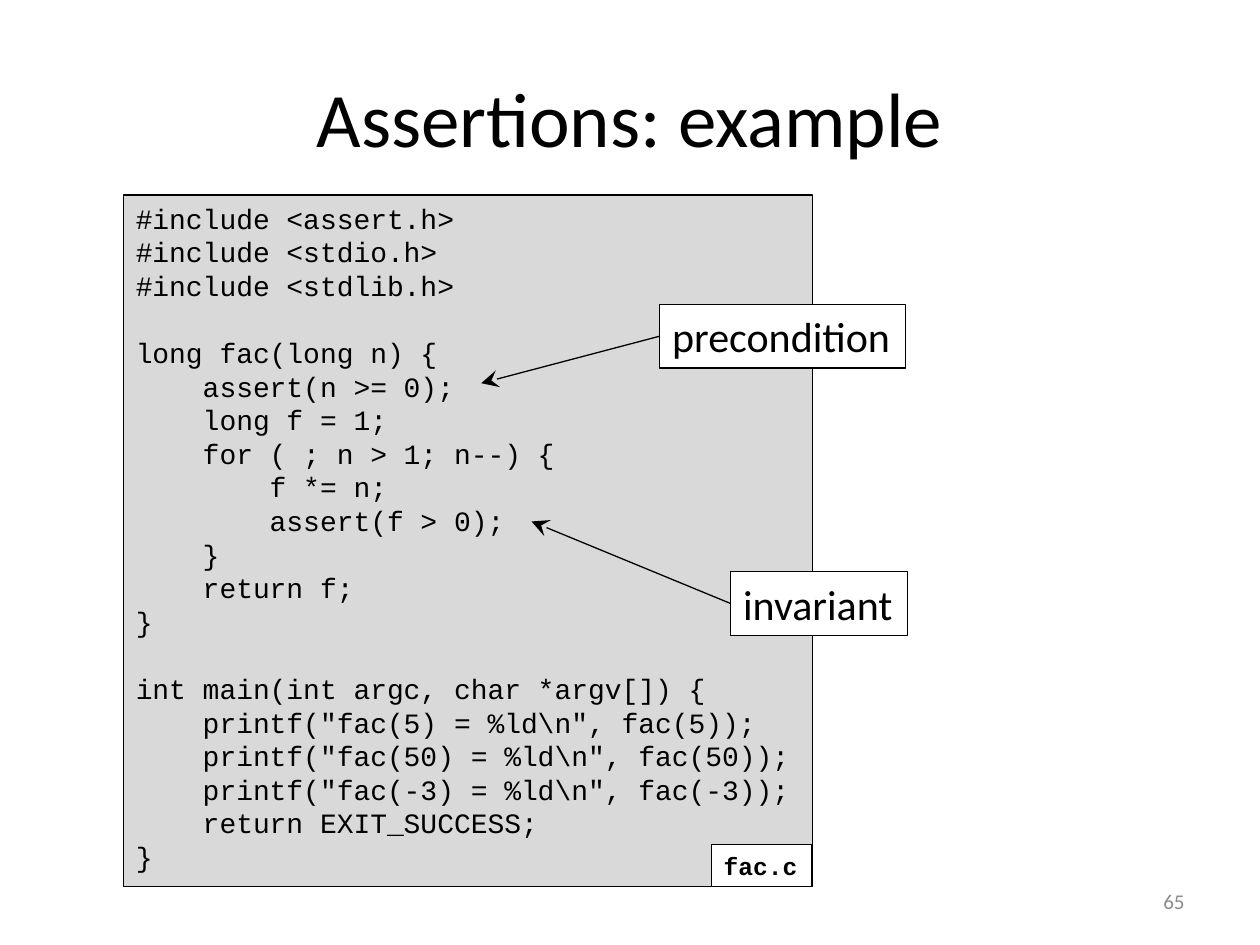
from lxml.etree import SubElement as Sub
from pptx import Presentation
from pptx.dml.color import RGBColor as Rgb
from pptx.enum.shapes import MSO_CONNECTOR as Conn, MSO_SHAPE as Kind
from pptx.enum.text import MSO_ANCHOR as Anchor, MSO_AUTO_SIZE as Fit, PP_ALIGN as Align
from pptx.oxml.ns import qn
from pptx.util import Pt

HUES = {"ink": "000000", "code": "D9D9D9", "note": "FFFFFF", "page": "8C8C8C"}
SANS, MONO = "Calibri", "Courier New"
CODE = r'''#include <assert.h>
#include <stdio.h>
#include <stdlib.h>

long fac(long n) {
    assert(n >= 0);
    long f = 1;
    for ( ; n > 1; n--) {
        f *= n;
        assert(f > 0);
    }
    return f;
}

int main(int argc, char *argv[]) {
    printf("fac(5) = %ld\n", fac(5));
    printf("fac(50) = %ld\n", fac(50));
    printf("fac(-3) = %ld\n", fac(-3));
    return EXIT_SUCCESS;
}'''


def hue(name):
    return Rgb.from_string(HUES[name])


def write(frame, text, size, face=SANS, tone="ink", bold=False, align=Align.LEFT):
    for i, line in enumerate(text.split("\n")):
        para = frame.add_paragraph() if i else frame.paragraphs[0]
        para.alignment = align
        if not line:
            Sub(para._p, qn("a:endParaRPr"), sz=str(size * 100))
            continue
        run = para.add_run()
        run.text = line
        run.font.size = Pt(size)
        run.font.name = face
        run.font.bold = bold
        run.font.color.rgb = hue(tone)


def place(shape, area):
    shape.left, shape.top, shape.width, shape.height = map(Pt, area)


def add_title(slide, text):
    title = slide.shapes.title
    place(title, (36, 21.6, 648, 90))
    title.text_frame.vertical_anchor = Anchor.MIDDLE
    write(title.text_frame, text, 44, align=Align.CENTER)


def add_box(slide, area, fill, text, size, face=SANS, bold=False):
    box = slide.shapes.add_shape(Kind.RECTANGLE, *map(Pt, area))
    box.shadow.inherit = False
    box.fill.solid()
    box.fill.fore_color.rgb = hue(fill)
    box.line.color.rgb = hue("ink")
    box.line.width = Pt(0.75)
    frame = box.text_frame
    frame.word_wrap = False
    frame.auto_size = Fit.SHAPE_TO_FIT_TEXT
    frame.vertical_anchor = Anchor.TOP
    write(frame, text, size, face, bold=bold)
    return box


def add_arrow(slide, box, tip):
    start = box.left, box.top + box.height // 2
    arrow = slide.shapes.add_connector(Conn.STRAIGHT, *start, *map(Pt, tip))
    arrow.begin_connect(box, 1)
    arrow.line.color.rgb = hue("ink")
    arrow.line.width = Pt(0.75)
    Sub(arrow.line._get_or_add_ln(), qn("a:tailEnd"), type="stealth", w="lg", len="lg")
    Sub(arrow._element.spPr, qn("a:effectLst"))


def add_note(slide, area, text, tip):
    box = add_box(slide, area, "note", text, 24)
    add_arrow(slide, box, tip)


def add_page(slide, text):
    box = slide.shapes.add_textbox(*map(Pt, (516, 500.5, 168, 28.75)))
    box.text_frame.word_wrap = True
    box.text_frame.vertical_anchor = Anchor.MIDDLE
    write(box.text_frame, text, 12, tone="page", align=Align.RIGHT)


def main():
    deck = Presentation()
    deck.slide_width, deck.slide_height = Pt(720), Pt(540)
    slide = deck.slides.add_slide(deck.slide_layouts[5])
    add_title(slide, "Assertions: example")
    add_box(slide, (70.5, 111.5, 394, 395), "code", CODE, 16, MONO)
    add_box(slide, (406.5, 482.5, 57.25, 24.25), "note", "fac.c", 14, MONO, True)
    add_note(slide, (417.5, 326.75, 101, 36.25), "invariant", (303.75, 298))
    add_note(slide, (377, 174, 140.5, 36.25), "precondition", (275, 219))
    add_page(slide, "65")
    deck.save("out.pptx")


if __name__ == "__main__":
    main()
